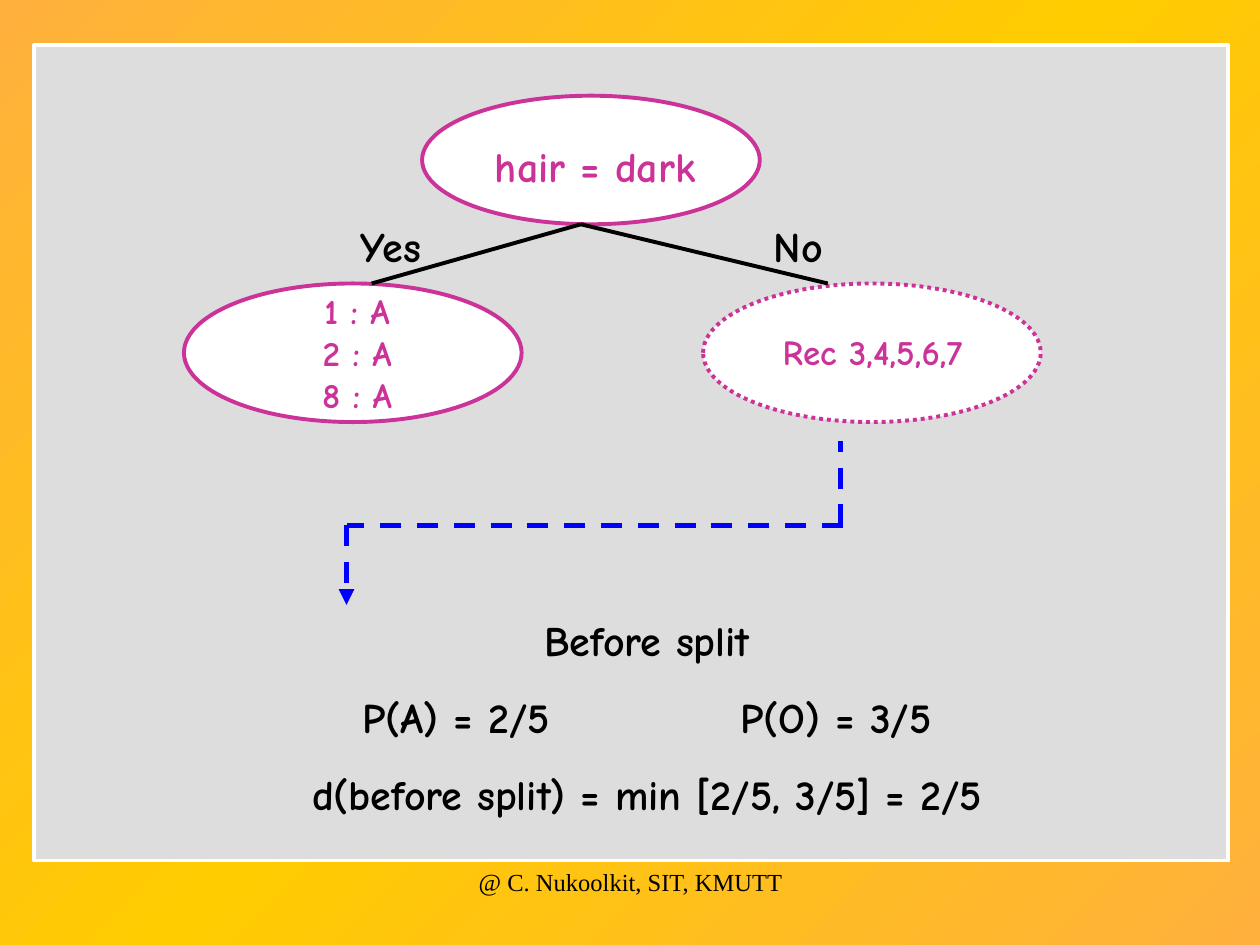
from copy import deepcopy
from dataclasses import dataclass

from lxml import etree
from pptx import Presentation
from pptx.dml.color import RGBColor
from pptx.enum.dml import MSO_LINE
from pptx.enum.shapes import MSO_CONNECTOR, MSO_SHAPE
from pptx.enum.text import MSO_AUTO_SIZE, PP_ALIGN
from pptx.oxml.ns import qn
from pptx.util import Pt

PX = 9144  # EMU per px, 100 px to the inch
TAB_STOPS = [100 * step for step in range(8)]


@dataclass(frozen=True)
class Theme:
    edge: str = "FFB03D"
    middle: str = "FFCC00"
    panel: str = "DDDDDD"
    white: str = "FFFFFF"
    ink: str = "000000"
    node: str = "CC3399"
    route: str = "0000FF"
    body_font: str = "Comic Neue"
    footer_font: str = "Times New Roman"
    large: int = 24
    small: int = 20
    footer: int = 14
    thin: float = 2.25
    thick: float = 3


THEME = Theme()


def emu(*lengths):
    return [length * PX for length in lengths]


def style_line(line, color, width, dash=None):
    line.color.rgb = RGBColor.from_string(color)
    line.width = Pt(width)
    if dash is not None:
        line.dash_style = dash


def add_panel(slide, kind, box, fill, line_color, dash=None):
    shape = slide.shapes.add_shape(kind, *emu(*box))
    shape.shadow.inherit = False
    shape.fill.solid()
    shape.fill.fore_color.rgb = RGBColor.from_string(fill)
    style_line(shape.line, line_color, THEME.thin, dash)


def add_line(slide, start, end, color, width, dash=None, arrow=False):
    connector = slide.shapes.add_connector(MSO_CONNECTOR.STRAIGHT, *emu(*start, *end))
    style_line(connector.line, color, width, dash)
    properties = connector.element.spPr
    if arrow:
        outline = properties.find(qn("a:ln"))
        etree.SubElement(outline, qn("a:tailEnd"), type="triangle")
    etree.SubElement(properties, qn("a:effectLst"))


def add_tab_stops(paragraph):
    tab_list = etree.SubElement(paragraph._p.get_or_add_pPr(), qn("a:tabLst"))
    for position in TAB_STOPS:
        etree.SubElement(tab_list, qn("a:tab"), pos=str(position * PX), algn="l")


def add_text(slide, box, lines, size, color=THEME.ink, font=THEME.body_font, bold=True):
    frame = slide.shapes.add_textbox(*emu(*box)).text_frame
    frame.word_wrap = True
    frame.auto_size = MSO_AUTO_SIZE.SHAPE_TO_FIT_TEXT
    font_format = {"name": font, "size": Pt(size), "bold": bold}
    for index, line in enumerate(lines):
        paragraph = frame.add_paragraph() if index else frame.paragraphs[0]
        paragraph.text = line
        paragraph.alignment = PP_ALIGN.CENTER
        if index:
            paragraph.space_before = Pt(15)
        if "\t" in line:
            add_tab_stops(paragraph)
        for run in paragraph.runs:
            for name, value in font_format.items():
                setattr(run.font, name, value)
            run.font.color.rgb = RGBColor.from_string(color)


def paint_background(slide):
    fill = slide.background.fill
    fill.gradient()
    fill.gradient_angle = 135
    stop_list = slide.element.xpath(".//a:gsLst")[0]
    stop_list.insert(1, deepcopy(stop_list[0]))
    colors = (THEME.edge, THEME.middle, THEME.edge)
    for index, (stop, color) in enumerate(zip(fill.gradient_stops, colors)):
        stop.position = index / 2
        stop.color.rgb = RGBColor.from_string(color)


def draw_tree(slide, left, top):
    """Root question with its two answers."""
    # Ellipse x, y, height; text x, y, height; text; size; outline dash
    nodes = [
        (189, 0, 102, 173, 31, 50, "hair = dark", THEME.large, None),
        (0, 149, 110, -16, 149, 110, "1 : A\v2 : A\v8 : A", THEME.small, None),
        (412, 149, 110, 393, 181, 44, "Rec 3,4,5,6,7", THEME.small, MSO_LINE.ROUND_DOT),
    ]
    for x, y, height, text_x, text_y, text_height, text, size, dash in nodes:
        add_panel(slide, MSO_SHAPE.OVAL, (left + x, top + y, 268, height),
                  THEME.white, THEME.node, dash)
        add_text(slide, (left + text_x, top + text_y, 307, text_height),
                 [text], size, THEME.node)
    # Branches and their labels
    for end_x, label_x, label in [(149, 78, "Yes"), (511, 401, "No")]:
        add_line(slide, (left + 315, top + 102), (left + end_x, top + 149),
                 THEME.ink, THEME.thin)
        add_text(slide, (left + label_x, top + 94, 173, 50), [label], THEME.large)


def draw_route(slide, left, top):
    """Dashed route from the open node to the calculation."""
    segments = [
        ((394, 67), (0, 67), False),
        ((0, 67), (0, 130), True),
        ((392, 67), (392, 0), False),
    ]
    for (x1, y1), (x2, y2), arrow in segments:
        add_line(slide, (left + x1, top + y1), (left + x2, top + y2),
                 THEME.route, THEME.thick, MSO_LINE.DASH, arrow)


def draw_calculation(slide, box):
    add_text(slide, box, [
        "Before split",
        "P(A) = 2/5\t\tP(O) = 3/5",
        "d(before split) = min [2/5, 3/5] = 2/5",
    ], THEME.large)


def draw_footer(slide, box):
    add_text(slide, box, ["@ C. Nukoolkit, SIT, KMUTT"], THEME.footer,
             font=THEME.footer_font, bold=False)


def main():
    presentation = Presentation()
    presentation.slide_width, presentation.slide_height = emu(1000, 750)
    slide = presentation.slides.add_slide(presentation.slide_layouts[6])
    paint_background(slide)
    add_panel(slide, MSO_SHAPE.RECTANGLE, (27, 36, 948, 647), THEME.panel, THEME.white)
    draw_tree(slide, 146, 76)
    draw_route(slide, 275, 350)
    draw_calculation(slide, (175, 483, 677, 172))
    draw_footer(slide, (342, 683, 317, 50))
    presentation.save("out.pptx")


if __name__ == "__main__":
    main()
